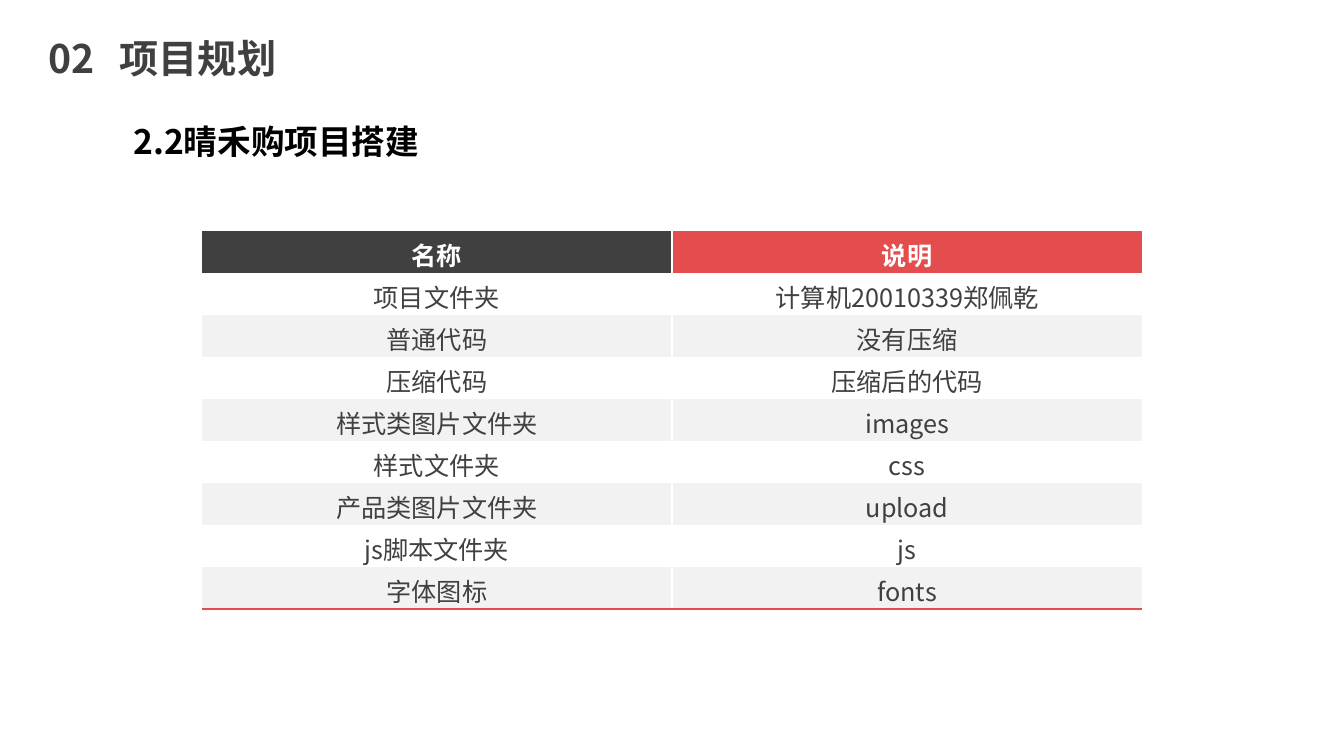
import dataclasses

import lxml.etree
import pptx
import pptx.dml.color
import pptx.enum.text
import pptx.oxml.ns
import pptx.util

PX = 9525
MIDDLE = pptx.enum.text.MSO_ANCHOR.MIDDLE
TOP = pptx.enum.text.MSO_ANCHOR.TOP
CENTER = pptx.enum.text.PP_ALIGN.CENTER


@dataclasses.dataclass(frozen=True)
class Theme:
    """Colours, font and type sizes of the deck."""
    font: str = "Noto Sans CJK SC"
    ink: str = "404040"
    black: str = "000000"
    white: str = "FFFFFF"
    band: str = "F2F2F2"
    accent: str = "E34D4D"
    title: int = 28
    subtitle: int = 24
    body: int = 18
    rule: float = 1.5


class Page:
    """Draws styled elements on one blank slide."""

    def __init__(self, deck, theme):
        self.theme = theme
        self.slide = deck.slides.add_slide(deck.slide_layouts[6])

    def element(self, parent, tag, **attributes):
        return lxml.etree.SubElement(parent, pptx.oxml.ns.qn(tag), attributes)

    def style(self, para, size, color, bold):
        font = para.font
        font.size, font.bold, font.name = pptx.util.Pt(size), bold, self.theme.font
        font.color.rgb = pptx.dml.color.RGBColor.from_string(color)
        defaults = para._p.get_or_add_pPr().find(pptx.oxml.ns.qn("a:defRPr"))
        self.element(defaults, "a:ea", typeface=self.theme.font)

    def heading(self, text, bounds, size, color, anchor=TOP, inset=10):
        box = self.slide.shapes.add_textbox(*(PX * length for length in bounds))
        frame = box.text_frame
        frame.word_wrap, frame.vertical_anchor = True, anchor
        frame.margin_left = PX * inset
        para = frame.paragraphs[0]
        para.text = text
        self.style(para, size, color, True)
        return para

    def tab_stop(self, para, position):
        stops = self.element(para._p.get_or_add_pPr(), "a:tabLst")
        self.element(stops, "a:tab", pos=str(PX * position), algn="l")
        stops.getparent().find(pptx.oxml.ns.qn("a:defRPr")).addprevious(stops)

    def border(self, cell, side, color):
        width = str(pptx.util.Pt(self.theme.rule))
        line = self.element(cell._tc.get_or_add_tcPr(), "a:ln" + side, w=width)
        self.element(self.element(line, "a:solidFill"), "a:srgbClr", val=color)

    def cell(self, cell, text, fill, color, bold):
        cell.margin_bottom = 0
        cell.fill.solid()
        cell.fill.fore_color.rgb = pptx.dml.color.RGBColor.from_string(fill)
        para = cell.text_frame.paragraphs[0]
        para.text, para.alignment = text, CENTER
        self.style(para, self.theme.body, color, bold)

    def table(self, rows, left, top, width, row_height):
        theme = self.theme
        bounds = (left, top, width, row_height * len(rows))
        table = self.slide.shapes.add_table(
            len(rows), len(rows[0]), *(PX * length for length in bounds)).table
        table.horz_banding = False
        style = table._tbl.tblPr.find(pptx.oxml.ns.qn("a:tableStyleId"))
        style.text = "{2D5ABB26-0587-4C30-8999-92F81FD0307C}"
        for row, texts in enumerate(rows):
            for column, text in enumerate(texts):
                cell = table.cell(row, column)
                self.border(cell, "L" if column else "R", theme.white)
                if row == len(rows) - 1:
                    self.border(cell, "B", theme.accent)
                if row == 0:
                    fill, color = (theme.ink, theme.accent)[column], theme.white
                else:
                    fill, color = (theme.band, theme.white)[row % 2], theme.ink
                self.cell(cell, text, fill, color, row == 0)


def main():
    deck = pptx.Presentation()
    deck.slide_width, deck.slide_height = PX * 1280, PX * 720
    theme = Theme()
    page = Page(deck, theme)

    title = page.heading("02\t项目规划", (36, 30, 300, 56), theme.title, theme.ink, MIDDLE)
    title.line_spacing = 0.9
    title.space_before = pptx.util.Pt(10)
    page.tab_stop(title, 68)
    page.heading("2.2晴禾购项目搭建", (110, 110, 396, 48), theme.subtitle, theme.black, inset=17)

    folders = [
        ("名称", "说明"),
        ("项目文件夹", "计算机20010339郑佩乾"),
        ("普通代码", "没有压缩"),
        ("压缩代码", "压缩后的代码"),
        ("样式类图片文件夹", "images"),
        ("样式文件夹", "css"),
        ("产品类图片文件夹", "upload"),
        ("js脚本文件夹", "js"),
        ("字体图标", "fonts"),
    ]
    page.table(folders, 192, 220, 896, 40)
    deck.save("out.pptx")


if __name__ == "__main__":
    main()
